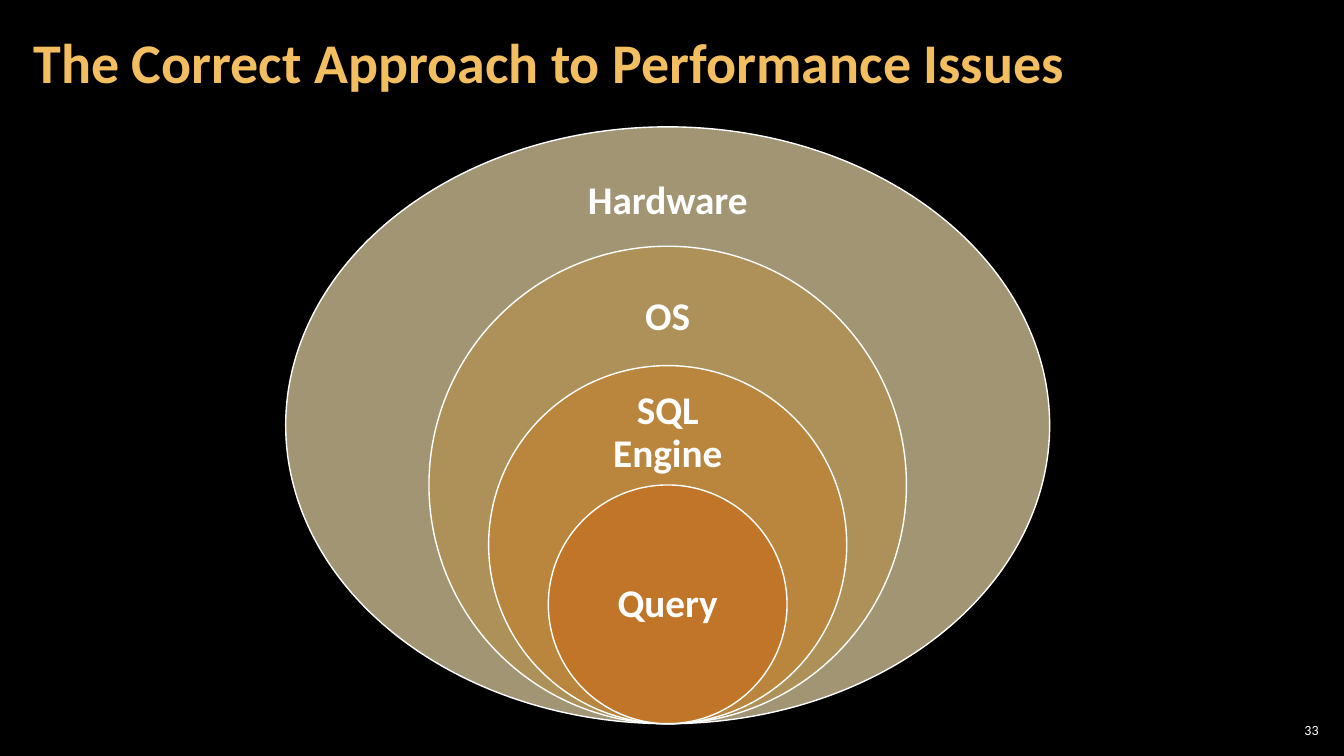
import dataclasses

import pptx
import pptx.util
import pptx.dml.color
import pptx.enum.shapes
import pptx.enum.text

ALIGN = pptx.enum.text.PP_ALIGN
OVAL = pptx.enum.shapes.MSO_SHAPE.OVAL


def tint(code):
    return pptx.dml.color.RGBColor.from_string(code)


@dataclasses.dataclass(frozen=True)
class Theme:
    face: str = "Calibri"
    back: str = "000000"
    gold: str = "F3BE60"
    white: str = "FFFFFF"
    rings: tuple = ("A19574", "AE9159", "BA863E", "C17529")
    head: int = 40
    label: int = 28
    small: int = 10


class Deck:
    """Holds the style and the current slide; lengths are percent of the slide."""

    def __init__(self, theme):
        self.theme = theme
        self.prs = pptx.Presentation()
        self.prs.slide_width = pptx.util.Inches(13.33)
        self.prs.slide_height = pptx.util.Inches(7.5)
        self.slide = self.prs.slides.add_slide(self.prs.slide_layouts[5])
        fill = self.slide.background.fill
        fill.solid()
        fill.fore_color.rgb = tint(theme.back)

    def place(self, left, top, width, height):
        wide, high = self.prs.slide_width, self.prs.slide_height
        return [int(share * side / 100) for share, side in
                zip((left, top, width, height), (wide, high, wide, high))]

    def letter(self, shape, text, size, color, align, pad, bold=True, lead=0.9):
        frame = shape.text_frame
        frame.text = text
        para = frame.paragraphs[0]
        side, edge = (pptx.util.Inches(inset) for inset in pad)
        formats = (
            (frame, dict(word_wrap=True,
                         auto_size=pptx.enum.text.MSO_AUTO_SIZE.NONE,
                         vertical_anchor=pptx.enum.text.MSO_ANCHOR.MIDDLE,
                         margin_left=side, margin_right=side,
                         margin_top=edge, margin_bottom=edge)),
            (para, dict(alignment=align, line_spacing=lead)),
            (para.runs[0].font, dict(name=self.theme.face, bold=bold,
                                     size=pptx.util.Pt(size))),
        )
        for item, values in formats:
            for name, value in values.items():
                setattr(item, name, value)
        para.runs[0].font.color.rgb = tint(color)

    def title(self, text, *box):
        shape = self.slide.shapes.title
        names = ("left", "top", "width", "height")
        for name, value in zip(names, self.place(*box)):
            setattr(shape, name, value)
        self.letter(shape, text, self.theme.head, self.theme.gold,
                    ALIGN.LEFT, (0.12, 0.04))

    def text(self, text, *box, **style):
        shape = self.slide.shapes.add_textbox(*self.place(*box))
        self.letter(shape, text, color=self.theme.white, **style)

    def ring(self, color, *box):
        shape = self.slide.shapes.add_shape(OVAL, *self.place(*box))
        shape.shadow.inherit = False
        shape.fill.solid()
        shape.fill.fore_color.rgb = tint(color)
        shape.line.color.rgb = tint(self.theme.white)
        shape.line.width = pptx.util.Pt(1)


def main():
    theme = Theme()
    deck = Deck(theme)

    # Title and page number
    deck.title("The Correct Approach to Performance Issues",
               1.58, 0.53, 78.53, 16.13)
    deck.text("33", 94.88, 95.2, 3.53, 2.8, size=theme.small,
              align=ALIGN.RIGHT, pad=(0.04, 0.04), bold=False, lead=1.0)

    # Nested rings: one step shorter each time, all resting on one base
    mid, base, step = 49.68, 95.73, 15.79
    # Name, width to height, label centre, label width, label height
    layers = (
        ("Hardware", 1.28, 26.73, 15.9, 11.87),
        ("OS", 1, 42.07, 12.45, 11.33),
        ("SQL Engine", 1, 57.33, 12.45, 10.67),
        ("Query", 1, 80, 12.6, 15.73),
    )
    for rank, (name, ratio, row, wide, high) in enumerate(layers):
        tall = step * (5 - rank)
        span = tall * ratio * 9 / 16
        deck.ring(theme.rings[rank], mid - span / 2, base - tall, span, tall)
        deck.text(name, mid - wide / 2, row - high / 2, wide, high,
                  size=theme.label, align=ALIGN.CENTER, pad=(0.22, 0.22))

    deck.prs.save("out.pptx")


if __name__ == "__main__":
    main()
